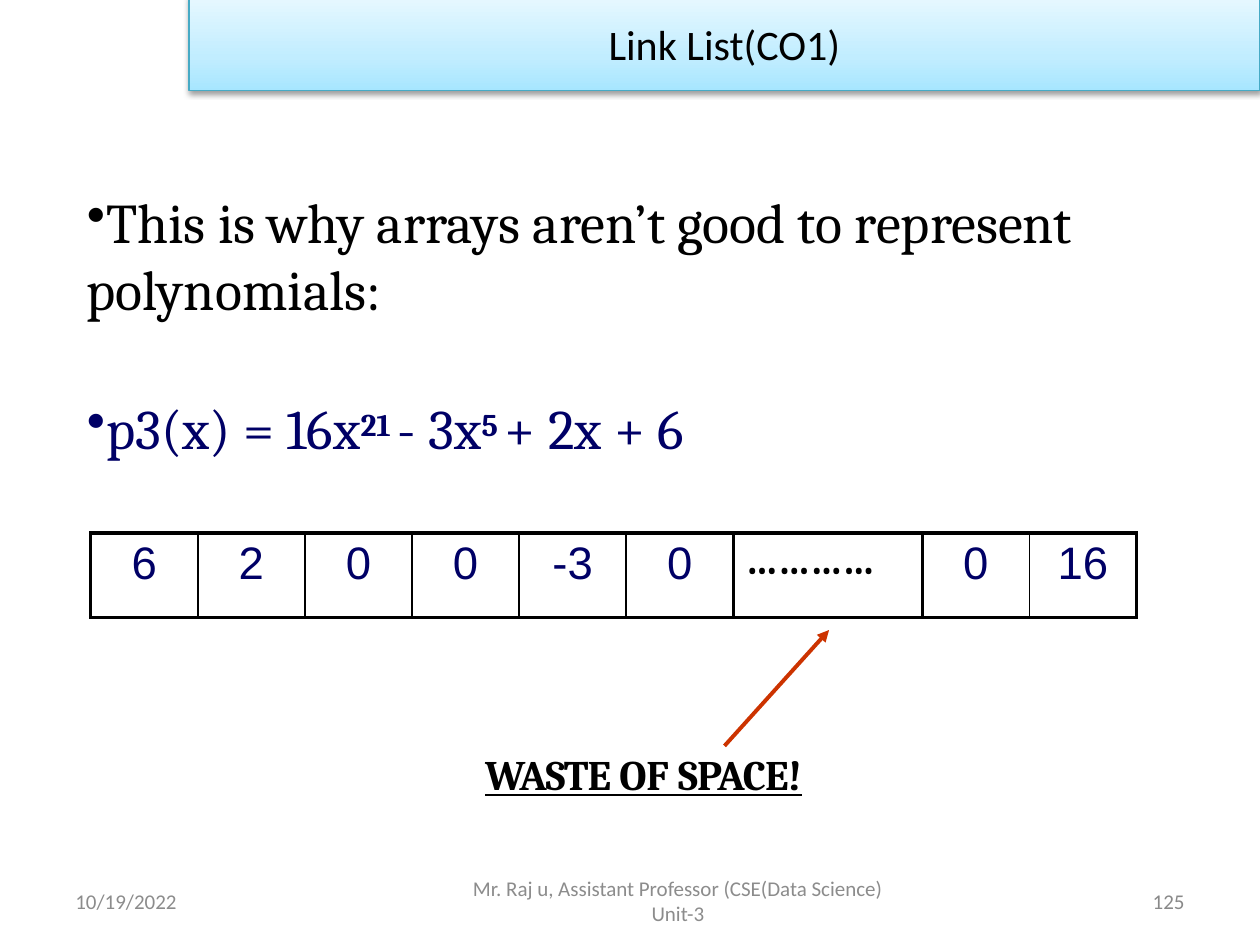
from dataclasses import dataclass

from lxml.etree import SubElement as Sub
from pptx import Presentation
from pptx.dml.color import RGBColor as Rgb
from pptx.enum.shapes import MSO_CONNECTOR as Conn, MSO_SHAPE as Shape
from pptx.enum.text import MSO_ANCHOR as Anchor, PP_ALIGN as Align
from pptx.oxml.ns import qn
from pptx.util import Inches, Pt


@dataclass(frozen=True)
class Theme:
    serif: str = "Cambria"
    sans: str = "Calibri"
    cell: str = "Arial"
    ink: str = "000000"
    navy: str = "000066"
    red: str = "CC3300"
    date: str = "8C8C8C"
    page: str = "898989"
    edge: str = "46AAC5"
    sky: tuple = ((0, "A7E6FF"), (35, "C1EDFF"), (100, "E7F8FF"))
    body: int = 32
    power: int = 31
    entry: int = 26
    head: int = 24
    foot: int = 12
    thick: float = 2.25
    thin: float = 1


def tag(base, name, **attrs):
    return Sub(base, qn("a:" + name), {k: str(v) for k, v in attrs.items()})


def write(para, text, font, size, color, bold=False, line=False, lift=0, track=0):
    run = para.add_run()
    run.text = text
    form = run.font
    form.name, form.size, form.bold = font, Pt(size), bold
    form.underline = line
    form.color.rgb = Rgb.from_string(color)
    props = run._r.get_or_add_rPr()
    if lift:
        props.set("baseline", str(lift * 1000))
    if track:
        props.set("spc", str(round(track * 100)))


class Deck:
    def __init__(self, theme):
        self.theme = theme
        self.file = Presentation()
        self.file.slide_width, self.file.slide_height = Inches(10), Inches(7.5)
        self.slide = self.file.slides.add_slide(self.file.slide_layouts[6])
        self.shapes = self.slide.shapes

    def frame(self, left, top, width, height, pad=(0, 0.01, 0, 0), anchor=Anchor.TOP):
        box = self.shapes.add_textbox(*map(Inches, (left, top, width, height)))
        frame = box.text_frame
        frame.word_wrap = True
        frame.vertical_anchor = anchor
        (frame.margin_left, frame.margin_top,
         frame.margin_right, frame.margin_bottom) = map(Inches, pad)
        return frame

    def bullet(self, para, gap=0):
        props = para._p.get_or_add_pPr()
        props.set("marL", str(Inches(0.06)))
        props.set("indent", "0")
        para.space_before = Pt(gap)
        tag(props, "buSzPct", val=97000)
        tag(props, "buChar", char="•")
        tag(tag(props, "tabLst"), "tab", pos=Inches(0.19), algn="l")

    def footer(self, text, left, width, color, align):
        frame = self.frame(left, 6.95, width, 0.4, (0.1, 0.05, 0.1, 0.05), Anchor.MIDDLE)
        para = frame.paragraphs[0]
        para.alignment = align
        for i, part in enumerate(text.split("\n")):
            if i:
                para.add_line_break()
            write(para, part, self.theme.sans, self.theme.foot, color)

    def banner(self, text, left, top, width, height):
        look = self.theme
        bar = self.shapes.add_shape(
            Shape.RECTANGLE, *map(Inches, (left, top, width, height)))
        bar.shadow.inherit = False
        bar.line.color.rgb = Rgb.from_string(look.edge)
        bar.line.width = Pt(0.75)
        bar.fill.gradient()
        bar.fill.gradient_angle = 90
        props = bar._element.spPr
        stops = props.find(".//" + qn("a:gsLst"))
        stops.clear()
        for pos, color in look.sky:
            tag(tag(stops, "gs", pos=pos * 1000), "srgbClr", val=color)
        shade = tag(props.find(qn("a:effectLst")), "outerShdw", blurRad=Pt(3.1),
                    dist=Pt(1.6), dir=90 * 60000, rotWithShape=0)
        tag(tag(shade, "srgbClr", val=look.ink), "alpha", val=38000)
        bar.text_frame.vertical_anchor = Anchor.MIDDLE
        para = bar.text_frame.paragraphs[0]
        para.alignment = Align.CENTER
        write(para, text, look.sans, look.head, look.ink)

    def arrow(self, start, end):
        line = self.shapes.add_connector(Conn.STRAIGHT, *map(Inches, start + end))
        line.line.color.rgb = Rgb.from_string(self.theme.red)
        line.line.width = Pt(self.theme.thick)
        tag(line.line._get_or_add_ln(), "tailEnd", type="triangle", w="med", len="med")
        tag(line._element.spPr, "effectLst")

    def border(self, cell, left, right):
        props = cell._tc.get_or_add_tcPr()
        thick = self.theme.thick
        for side, width in zip("LRTB", (left, right, thick, thick)):
            line = tag(props, "ln" + side, w=Pt(width))
            tag(tag(line, "solidFill"), "srgbClr", val=self.theme.ink)

    def array(self, items, left, top, height, unit, wide):
        look = self.theme
        gap = items.index("…………")
        sizes = [wide if i == gap else unit for i in range(len(items))]
        table = self.shapes.add_table(
            1, len(items), *map(Inches, (left, top, sum(sizes), height))).table
        table.first_row = table.horz_banding = False
        table.rows[0].height = Inches(height)
        heavy = {0, gap, gap + 1, len(items)}
        edges = [look.thick if i in heavy else look.thin for i in range(len(items) + 1)]
        for i, text in enumerate(items):
            table.columns[i].width = Inches(sizes[i])
            cell = table.cell(0, i)
            cell.margin_right = cell.margin_bottom = 0
            para = cell.text_frame.paragraphs[0]
            if i == gap:
                cell.margin_left, cell.margin_top = Inches(0.1), Inches(0.03)
                write(para, text, look.serif, look.head, look.ink, bold=True, track=-0.1)
            else:
                cell.margin_left, cell.margin_top = 0, Inches(0.04)
                para.alignment = Align.CENTER
                write(para, text, look.cell, look.entry, look.navy)
            self.border(cell, *edges[i:i + 2])
            cell.fill.background()


def main():
    look = Theme()
    deck = Deck(look)

    body = deck.frame(0.63, 1.48, 8.17, 2.16)
    claim = body.paragraphs[0]
    deck.bullet(claim)
    write(claim, "This is why arrays aren’t good to represent polynomials:",
          look.serif, look.body, look.ink)
    poly = body.add_paragraph()
    deck.bullet(poly, gap=41)
    for text, power in (("p3(x) = 16x", "21 "), ("- 3x", "5 "), ("+ 2x + 6", "")):
        write(poly, text, look.serif, look.body, look.navy)
        if power:
            write(poly, power, look.serif, look.power, look.navy, bold=True, lift=25)

    deck.array(["6", "2", "0", "0", "-3", "0", "…………", "0", "16"],
               0.72, 4.23, 0.67, unit=0.85, wide=1.5)
    deck.arrow((5.75, 5.92), (6.58, 5))

    waste = deck.frame(3.84, 5.93, 2.85, 0.43, (0.01, 0.01, 0, 0)).paragraphs[0]
    for text, track in (("WASTE ", -0.5), ("OF ", 0), ("SPACE!", -0.5)):
        write(waste, text, look.serif, look.head, look.ink,
              bold=True, line=True, track=track)

    deck.footer("10/19/2022", 0.5, 2.33, look.date, Align.LEFT)
    deck.footer("Mr. Raj u, Assistant Professor (CSE(Data Science)\nUnit-3",
                3.42, 3.92, look.date, Align.CENTER)
    deck.footer("125", 7.17, 2.33, look.page, Align.RIGHT)
    deck.banner("Link List(CO1)", 1.5, -0.03, 8.5, 0.75)

    deck.file.save("out.pptx")


if __name__ == "__main__":
    main()
